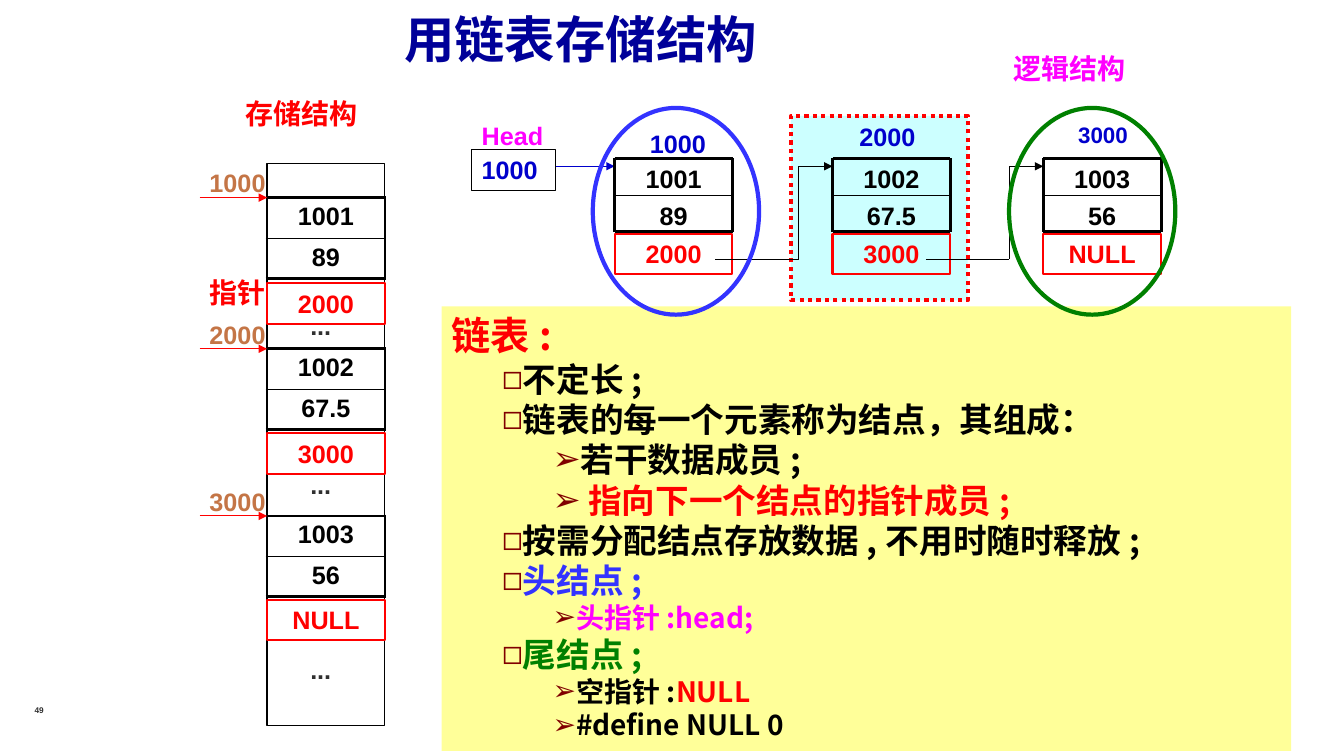
from lxml import etree
from pptx import Presentation
from pptx import util as u
from pptx.dml.color import RGBColor
from pptx.enum import dml, shapes, text
from pptx.oxml import ns

CJK = "Noto Sans CJK SC"
BLACK, RED, BLUE, NAVY = "000000", "FF0000", "3333FF", "0000CC"
GREEN, PINK, TAN, GREY = "008000", "FF00FF", "C47546", "2F2F2F"


def colour(value):
    return RGBColor.from_string(value)


def child(parent, tag, **attributes):
    return etree.SubElement(parent, ns.qn(tag), attributes)


class Board:
    font = "Arial"
    size = 18

    def __init__(self, slide):
        self.slide = slide

    def style(self, run, ink, size=None, font=None):
        run.font.size = u.Pt(size or self.size)
        run.font.bold = True
        run.font.name = font or self.font
        run.font.color.rgb = colour(ink)
        child(run.font._element, "a:ea", typeface=CJK)

    def fill_text(self, frame, words, ink, size=None, font=None, align="LEFT", anchor="TOP", wrap=True):
        frame.text = words
        frame.word_wrap = wrap
        frame.auto_size = text.MSO_AUTO_SIZE.NONE
        frame.vertical_anchor = text.MSO_ANCHOR[anchor]
        frame.paragraphs[0].alignment = text.PP_ALIGN[align]
        self.style(frame.paragraphs[0].runs[0], ink, size, font)

    def place(self, holder, x, y, w, h):
        holder.left, holder.top = u.Cm(x), u.Cm(y)
        holder.width, holder.height = u.Cm(w), u.Cm(h)

    def title(self, words, x, y, w, h):
        heading = self.slide.shapes.title
        self.place(heading, x, y, w, h)
        self.fill_text(heading.text_frame, words, "000099", 36, CJK, anchor="BOTTOM")

    def outline(self, items, x, y, w, h, fill):
        body = self.slide.placeholders[1]
        self.place(body, x, y, w, h)
        body.fill.solid()
        body.fill.fore_color.rgb = colour(fill)
        frame = body.text_frame
        frame.auto_size = text.MSO_AUTO_SIZE.NONE
        frame.text = "\n".join("".join(words for words, _ in parts) for _, _, parts in items)
        for paragraph, (level, size, parts) in zip(frame.paragraphs, items):
            paragraph.level = level
            paragraph.alignment = text.PP_ALIGN.LEFT
            paragraph.space_before = u.Pt(0)
            paragraph.line_spacing = u.Pt(size * 1.2)
            properties = paragraph._p.get_or_add_pPr()
            properties.set("marL", str(u.Cm(1.27 * level)))
            properties.set("indent", "0")
            if level:
                child(child(properties, "a:buClr"), "a:srgbClr", val="800000")
                child(properties, "a:buChar", char=" ◻➢"[level])
            else:
                child(properties, "a:buNone")
            for position, (words, ink) in enumerate(parts):
                run = paragraph.add_run() if position else paragraph.runs[0]
                run.text = words
                self.style(run, ink, size, CJK)

    def label(self, words, x, y, w, h, ink, **look):
        box = self.slide.shapes.add_textbox(u.Cm(x), u.Cm(y), u.Cm(w), u.Cm(h))
        self.fill_text(box.text_frame, words, ink, **look)

    def shape(self, kind, x, y, w, h, line, weight, fill=None, dash=None):
        figure = self.slide.shapes.add_shape(
            shapes.MSO_SHAPE[kind], u.Cm(x), u.Cm(y), u.Cm(w), u.Cm(h))
        figure.shadow.inherit = False
        figure.line.color.rgb = colour(line)
        figure.line.width = u.Pt(weight)
        if dash:
            figure.line.dash_style = dml.MSO_LINE[dash]
        if fill:
            figure.fill.solid()
            figure.fill.fore_color.rgb = colour(fill)
        else:
            figure.fill.background()
        return figure

    def pointer(self, words, x, y):
        field = self.shape("RECTANGLE", x, y, 2.97, 1.02, RED, 1.5)
        self.fill_text(field.text_frame, words, RED, align="CENTER")

    def line(self, x1, y1, x2, y2, ink=BLACK, weight=0.75, arrow=False):
        link = self.slide.shapes.add_connector(
            shapes.MSO_CONNECTOR.STRAIGHT, u.Cm(x1), u.Cm(y1), u.Cm(x2), u.Cm(y2))
        link.line.color.rgb = colour(ink)
        link.line.width = u.Pt(weight)
        if arrow:
            child(link.line._get_or_add_ln(), "a:tailEnd", type="triangle")
        child(link._element.spPr, "a:effectLst")

    def record(self, values, x, y, w, row):
        table = self.slide.shapes.add_table(
            len(values), 1, u.Cm(x), u.Cm(y), u.Cm(w), u.Cm(row * len(values))).table
        table.first_row = table.horz_banding = False
        for index, value in enumerate(values):
            cell = table.cell(index, 0)
            self.fill_text(cell.text_frame, value, BLACK, align="CENTER")
            borders = {"L": 2.25, "R": 2.25, "T": 1 if index else 2.25, "B": 2.25 if index else 1}
            for side, weight in borders.items():
                edge = child(cell._tc.get_or_add_tcPr(), f"a:ln{side}", w=str(u.Pt(weight)))
                child(child(edge, "a:solidFill"), "a:srgbClr", val=BLACK)
            cell.fill.background()


def main():
    deck = Presentation()
    deck.slide_width, deck.slide_height = u.Cm(33.87), u.Cm(19.05)
    board = Board(deck.slides.add_slide(deck.slide_layouts[1]))

    board.title("用链表存储结构", 9.93, 0, 12.4, 1.85)
    board.outline([
        (0, 28, [("链表:", RED)]),
        (1, 24, [("不定长;", BLACK)]),
        (1, 24, [("链表的每一个元素称为结点，其组成：", BLACK)]),
        (2, 24, [("若干数据成员;", BLACK)]),
        (2, 24, [(" 指向下一个结点的指针成员;", RED)]),
        (1, 24, [("按需分配结点存放数据,不用时随时释放;", BLACK)]),
        (1, 24, [("头结点;", BLUE)]),
        (2, 20, [("头指针:head;", PINK)]),
        (1, 24, [("尾结点;", GREEN)]),
        (2, 20, [("空指针:", BLACK), ("NULL", RED)]),
        (2, 20, [("#define NULL 0", BLACK)]),
    ], 11.13, 7.72, 21.41, 11.2, "FFFF99")
    board.label("49", 0, 17.35, 1.98, 1.07, GREY, size=5.9, align="CENTER", anchor="MIDDLE")
    board.shape("RECTANGLE", 19.94, 2.92, 4.45, 4.65, RED, 3, "CCFFFF", "ROUND_DOT")

    memory_x, width = 6.73, 2.97
    board.shape("RECTANGLE", memory_x, 4.11, width, 14.17, BLACK, 0.75)
    records = [
        ("1000", ("1001", "89"), "2000", 4.98, 7.14, 7.7),
        ("2000", ("1002", "67.5"), "3000", 8.79, 10.92, 11.71),
        ("3000", ("1003", "56"), "NULL", 13, 15.11, 16.36),
    ]
    for address, values, following, y, pointer_y, gap_y in records:
        board.record(values, memory_x, y, width, 1.02)
        board.line(5.03, y, memory_x, y, RED, arrow=True)
        board.label(address, 5.03, y - 0.88, 1.93, 1.02, TAN, wrap=False)
        board.pointer(following, memory_x, pointer_y)
        board.label("...", 7.57, gap_y, 1.04, 1.02, GREY, wrap=False)

    head = board.shape("RECTANGLE", 11.89, 3.76, 2.11, 1.04, BLACK, 0.75)
    board.fill_text(head.text_frame, "1000", NAVY)
    board.label("Head", 11.89, 2.9, 2.24, 1.02, PINK, wrap=False)
    board.line(14, 4.19, 15.49, 4.19, NAVY, arrow=True)

    top, middle, bottom = 3.99, 4.92, 5.84
    nodes = [(15.49, 16.13, 3.12, 18), (20.98, 21.41, 2.92, 18), (26.29, 26.92, 2.92, 16)]
    for index, (x, address_x, address_y, size) in enumerate(nodes):
        address, values, following = records[index][:3]
        for value, y in zip(values, (top, middle)):
            board.label(value, x, y, width, 0.94, BLACK, align="CENTER")
        for y, weight in ((top, 2.25), (middle, 1), (bottom, 2.25)):
            board.line(x, y, x + width, y, weight=weight)
        for side in (x, x + width):
            board.line(side, top, side, bottom, weight=2.25)
        board.pointer(following, x, 5.89)
        board.label(address, address_x, address_y, 2.11, 1.02, NAVY, size=size)
        if index:
            bend = x - 0.85
            board.line(bend - 2.11, 6.53, bend, 6.53)
            board.line(bend, 6.53, bend, 4.19)
            board.line(bend, 4.19, x, 4.19, arrow=True)

    for x, ink in ((14.94, BLUE), (25.43, GREEN)):
        board.shape("OVAL", x, 2.72, 4.19, 5.21, ink, 3)
    board.label("指针", 5.03, 6.81, 1.93, 1.09, RED, size=20, wrap=False)
    for caption, x, y, ink in (("存储结构", 5.94, 2.31, RED), ("逻辑结构", 25.3, 1.17, PINK)):
        board.label(caption, x, y, 3.35, 1.09, ink, size=20, font="Times New Roman", wrap=False)

    deck.save("out.pptx")


if __name__ == "__main__":
    main()
